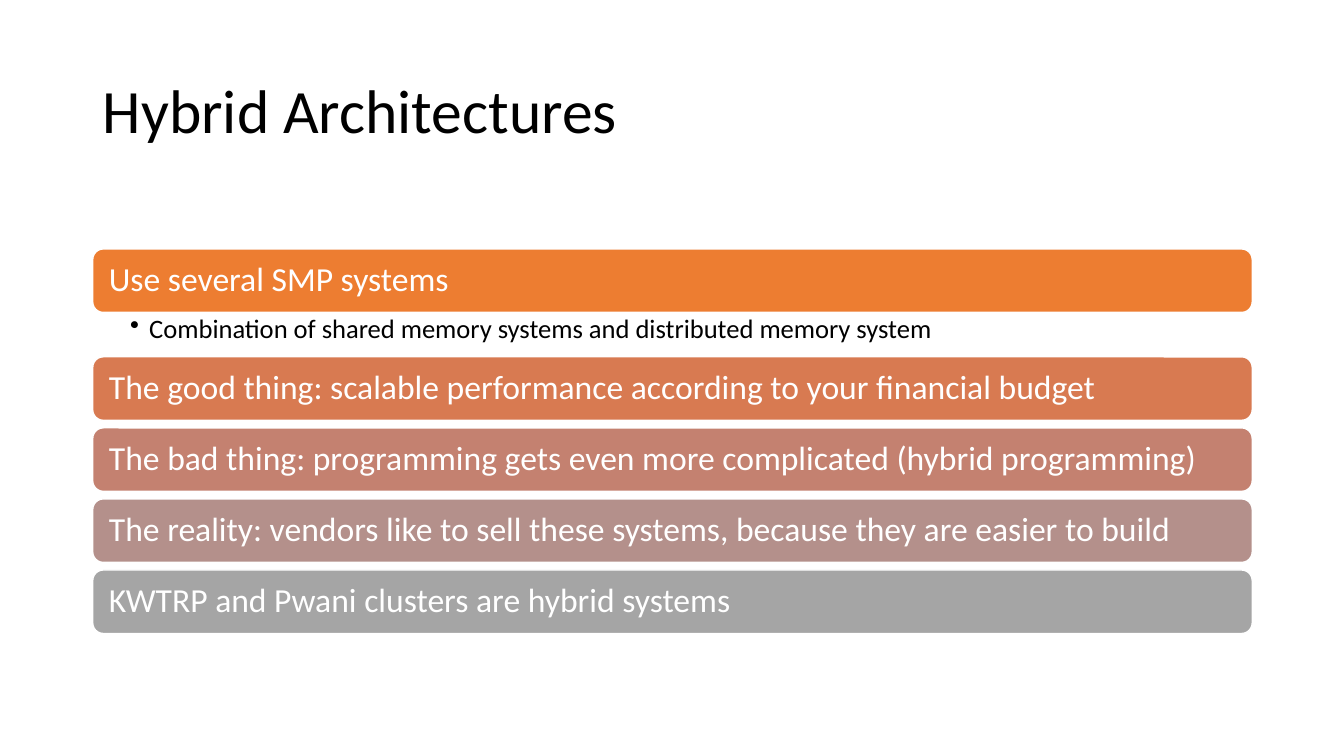
import pptx
import pptx.util
import pptx.dml.color
import pptx.enum.shapes
import pptx.enum.text
import pptx.oxml
import pptx.oxml.ns

Inches = pptx.util.Inches
FONT = "Calibri"
BARS = [
    ("Use several SMP systems", "ED7D31"),
    ("The good thing: scalable performance according to your financial budget", "D87A51"),
    ("The bad thing: programming gets even more complicated (hybrid programming)", "C48170"),
    ("The reality: vendors like to sell these systems, because they are easier to build", "B4908B"),
    ("KWTRP and Pwani clusters are hybrid systems", "A5A5A5"),
]
NOTE = "Combination of shared memory systems and distributed memory system"


def color(code):
    return pptx.dml.color.RGBColor.from_string(code)


def write(shape, text, size, ink="000000", inset=(0.1, 0.05, 0.1, 0.05),
          middle=True, bullet=None):
    """Fill a shape with one left-aligned paragraph; inset is left, top, right, bottom."""
    frame = shape.text_frame
    frame.word_wrap = True
    frame.auto_size = pptx.enum.text.MSO_AUTO_SIZE.NONE
    anchor = pptx.enum.text.MSO_ANCHOR
    frame.vertical_anchor = anchor.MIDDLE if middle else anchor.TOP
    (frame.margin_left, frame.margin_top,
     frame.margin_right, frame.margin_bottom) = map(Inches, inset)
    para = frame.paragraphs[0]
    para.text = text
    para.alignment = pptx.enum.text.PP_ALIGN.LEFT
    para.line_spacing = 0.9
    if bullet:
        props = para._p.get_or_add_pPr()
        para.level = 1
        props.set("marL", str(Inches(0.19)))
        props.set("indent", str(-Inches(0.19)))
        mark = pptx.oxml.parse_xml(
            f'<a:buChar {pptx.oxml.ns.nsdecls("a")} char="{bullet}"/>')
        props.append(mark)
    font = para.runs[0].font
    font.name = FONT
    font.size = pptx.util.Pt(size)
    font.color.rgb = color(ink)


def head(slide, left, top, width, height):
    title = slide.shapes.title
    title.left, title.top = Inches(left), Inches(top)
    title.width, title.height = Inches(width), Inches(height)
    write(title, "Hybrid Architectures", 44)


def bar(slide, left, top, width, height, text, fill):
    shape = slide.shapes.add_shape(
        pptx.enum.shapes.MSO_SHAPE.ROUNDED_RECTANGLE,
        Inches(left), Inches(top), Inches(width), Inches(height))
    shape.shadow.inherit = False
    shape.fill.solid()
    shape.fill.fore_color.rgb = color(fill)
    shape.line.color.rgb = color("FFFFFF")
    shape.line.width = pptx.util.Pt(1)
    write(shape, text, 24, "FFFFFF", inset=(0.13, 0.1, 0.13, 0.1))


def stack(slide, left, top, width, high=0.63, gap=0.075, room=0.43):
    """Bars from top to bottom, with the bulleted note under the first."""
    for index, (text, fill) in enumerate(BARS):
        bar(slide, left, top, width, high, text, fill)
        top += high
        if index == 0:
            note = slide.shapes.add_textbox(
                Inches(left), Inches(top), Inches(width), Inches(room))
            write(note, NOTE, 19, inset=(0.37, 0.03, 0.19, 0.03),
                  middle=False, bullet="•")
            top += room
            # The note closes up to the next bar
            top += 0.01
        else:
            top += gap


def main():
    deck = pptx.Presentation()
    deck.slide_width, deck.slide_height = Inches(13.33), Inches(7.5)
    slide = deck.slides.add_slide(deck.slide_layouts[5])
    head(slide, 0.92, 0.4, 11.5, 1.45)
    stack(slide, 0.92, 2.47, 11.5)
    deck.save("out.pptx")


if __name__ == "__main__":
    main()
